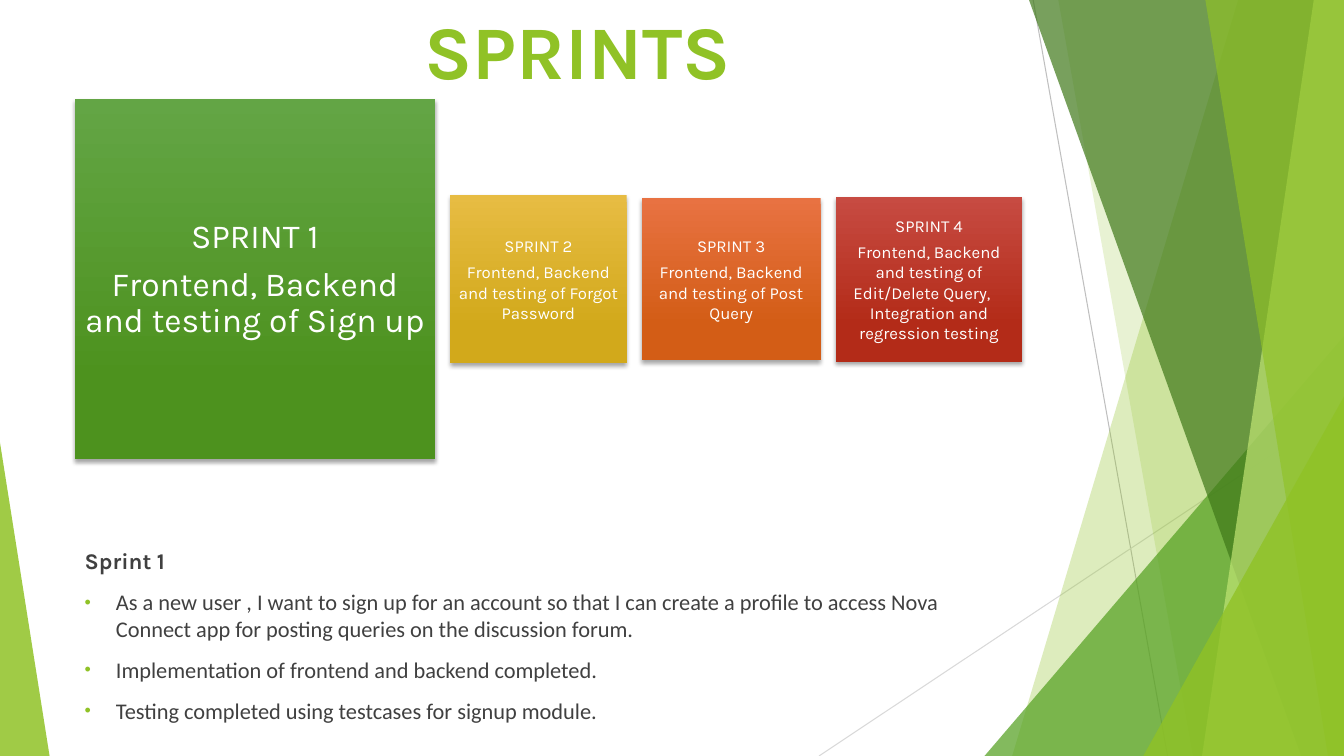
from dataclasses import dataclass

from lxml.etree import SubElement
from pptx import Presentation
from pptx.dml.color import RGBColor
from pptx.enum.shapes import MSO_CONNECTOR as Connector, MSO_SHAPE as Preset
from pptx.enum.text import MSO_ANCHOR as Anchor, PP_ALIGN as Align
from pptx.oxml.ns import qn
from pptx.util import Inches, Pt


@dataclass(frozen=True)
class Theme:
    lime: str = "90C226"
    green: str = "54A021"
    forest: str = "3F7819"
    pale: str = "C0E474"
    ink: str = "404040"
    white: str = "FFFFFF"
    black: str = "000000"
    line_dark: str = "BFBFBF"
    line_light: str = "D9D9D9"
    heading_font: str = "Karla"
    body_font: str = "Calibri"
    title_size: int = 54
    lead_size: int = 24
    body_size: int = 16
    tile_size: int = 12


COLUMNS, ROWS = 160, 90  # grid of the slide
THEME = Theme()


def add_child(parent, tag, **attributes):
    return SubElement(parent, qn(tag), {key: str(value) for key, value in attributes.items()})


def write(paragraph, text, font, size, color, bold=False, align=Align.LEFT,
          before=0, after=0, leading=1.0, bullet=None):
    paragraph.alignment = align
    paragraph.space_before, paragraph.space_after = Pt(before), Pt(after)
    paragraph.line_spacing = leading
    run = paragraph.add_run()
    run.text = text
    run.font.name, run.font.size, run.font.bold = font, Pt(size), bold
    run.font.color.rgb = RGBColor.from_string(color)
    if bullet:
        properties = paragraph._p.get_or_add_pPr()
        indent = Inches(0.31)
        properties.set("marL", str(indent))
        properties.set("indent", str(-indent))
        add_child(add_child(properties, "a:buClr"), "a:srgbClr", val=bullet)
        add_child(properties, "a:buSzPct", val=80000)
        add_child(properties, "a:buFont", typeface="Arial")
        add_child(properties, "a:buChar", char="•")


class SlideBuilder:
    def __init__(self, presentation, theme):
        self.theme = theme
        self.slide = presentation.slides.add_slide(presentation.slide_layouts[6])
        self.shapes = self.slide.shapes
        self.column = presentation.slide_width / COLUMNS
        self.row = presentation.slide_height / ROWS

    def x(self, columns):
        return round(columns * self.column)

    def y(self, rows):
        return round(rows * self.row)

    def box(self, left, top, width, height):
        return self.x(left), self.y(top), self.x(width), self.y(height)

    def line(self, start, end, color):
        connector = self.shapes.add_connector(
            Connector.STRAIGHT, self.x(start[0]), self.y(start[1]), self.x(end[0]), self.y(end[1]))
        connector.line.color.rgb = RGBColor.from_string(color)
        connector.line.width = Pt(0.75)
        add_child(connector._element.spPr, "a:effectLst")

    def tint(self, shape, color, opacity):
        shape.shadow.inherit = False
        shape.line.fill.background()
        shape.fill.solid()
        shape.fill.fore_color.rgb = RGBColor.from_string(color)
        clr = shape._element.spPr.find(qn("a:solidFill")).find(qn("a:srgbClr"))
        add_child(clr, "a:alpha", val=opacity * 1000)

    def facet(self, top, bottom, color, opacity):
        """Full-height pane whose slanted left edge runs from top to bottom."""
        builder = self.shapes.build_freeform(self.x(top), 0)
        corners = [(COLUMNS, 0), (COLUMNS, ROWS), (bottom, ROWS)]
        builder.add_line_segments([(self.x(x), self.y(y)) for x, y in corners], close=True)
        self.tint(builder.convert_to_shape(), color, opacity)

    def triangle(self, left, top, width, apex, color, opacity):
        """Triangle standing on the slide's bottom edge."""
        shape = self.shapes.add_shape(
            Preset.ISOSCELES_TRIANGLE, *self.box(left, top, width, ROWS - top))
        shape.adjustments[0] = apex
        self.tint(shape, color, opacity)

    def frame(self, shape, anchor, inset_x, inset_y):
        frame = shape.text_frame
        frame.word_wrap = True
        frame.vertical_anchor = anchor
        frame.margin_left = frame.margin_right = Inches(inset_x)
        frame.margin_top = frame.margin_bottom = Inches(inset_y)
        return frame

    def text(self, left, top, width, height, anchor=Anchor.TOP):
        shape = self.shapes.add_textbox(*self.box(left, top, width, height))
        return self.frame(shape, anchor, 0.1, 0.05)

    def tile(self, left, top, width, height, colors, lines, size, inset, leading):
        shape = self.shapes.add_shape(Preset.RECTANGLE, *self.box(left, top, width, height))
        shape.line.fill.background()
        shape.fill.gradient()
        shape.fill.gradient_angle = 270
        for stop, color, position in zip(shape.fill.gradient_stops, colors, (0, 0.78)):
            stop.color.rgb = RGBColor.from_string(color)
            stop.position = position
        shape.shadow.inherit = False
        effects = shape._element.spPr.find(qn("a:effectLst"))
        shadow = add_child(effects, "a:outerShdw", blurRad=Pt(3), dist=Pt(2),
                           dir=5400000, rotWithShape=0)
        clr = add_child(shadow, "a:srgbClr", val=self.theme.black)
        add_child(clr, "a:alpha", val=35000)
        frame = self.frame(shape, Anchor.MIDDLE, inset, inset)
        for index, line in enumerate(lines):
            paragraph = frame.add_paragraph() if index else frame.paragraphs[0]
            write(paragraph, line, self.theme.heading_font, size, self.theme.white,
                  align=Align.CENTER, after=0.35 * size, leading=leading)


def main():
    presentation = Presentation()
    presentation.slide_width, presentation.slide_height = Inches(13.333), Inches(7.5)
    page = SlideBuilder(presentation, THEME)

    # Faceted backdrop
    page.line((123, 0), (139, ROWS), THEME.line_dark)
    page.line((COLUMNS, 48.4), (97.5, ROWS), THEME.line_light)
    page.facet(147.4, 120.5, THEME.lime, 30)
    page.facet(126, 142, THEME.lime, 20)
    page.triangle(117.2, 40, 42.8, 1, THEME.green, 72)
    page.facet(122.5, 154.9, THEME.forest, 70)
    page.facet(156.4, 143.1, THEME.pale, 70)
    page.facet(143.5, 158.1, THEME.lime, 65)
    page.triangle(136.1, 47.2, 23.9, 1, THEME.lime, 80)
    page.triangle(0, 52.7, 5.9, 0, THEME.lime, 85)

    # Title
    title = page.text(33.8, 0, 70, 11.8, Anchor.BOTTOM)
    write(title.paragraphs[0], "SPRINTS", THEME.heading_font, THEME.title_size,
          THEME.lime, bold=True, align=Align.CENTER)

    # Sprint tiles, side by side on one centre line
    left, gap, middle = 8.9, 1.8, 33.25
    sprints = [
        (42.9, 42.9, ("63A545", "4D921E"), "Sign up"),
        (21, 20, ("E7BC43", "D2A91B"), "Forgot Password"),
        (21.3, 19.3, ("E87242", "D35D16"), "Post Query"),
        (22.2, 19.6, ("C74B42", "B32B18"),
         "Edit/Delete Query, \tIntegration and regression testing"),
    ]
    for number, (width, height, colors, scope) in enumerate(sprints, 1):
        size, inset, leading = ((THEME.lead_size, 0.1, 0.9) if number == 1
                                else (THEME.tile_size, 0.05, 1.0))
        lines = [f"SPRINT {number}", f"Frontend, Backend and testing of {scope}"]
        page.tile(left, middle - height / 2, width, height, colors, lines, size, inset, leading)
        left += width + gap

    # Details of the first sprint
    details = page.text(8.9, 64.6, 112.8, 23.5)
    write(details.paragraphs[0], "Sprint 1", THEME.heading_font, THEME.body_size,
          THEME.ink, bold=True)
    for item in (
        "As a new user , I want to sign up for an account so that I can create a profile "
        "to access Nova Connect app for posting queries on the discussion forum.",
        "Implementation of frontend and backend completed.",
        "Testing completed using testcases for signup module.",
    ):
        write(details.add_paragraph(), item, THEME.body_font, THEME.body_size, THEME.ink,
              before=10, bullet=THEME.lime)

    presentation.save("out.pptx")


if __name__ == "__main__":
    main()
